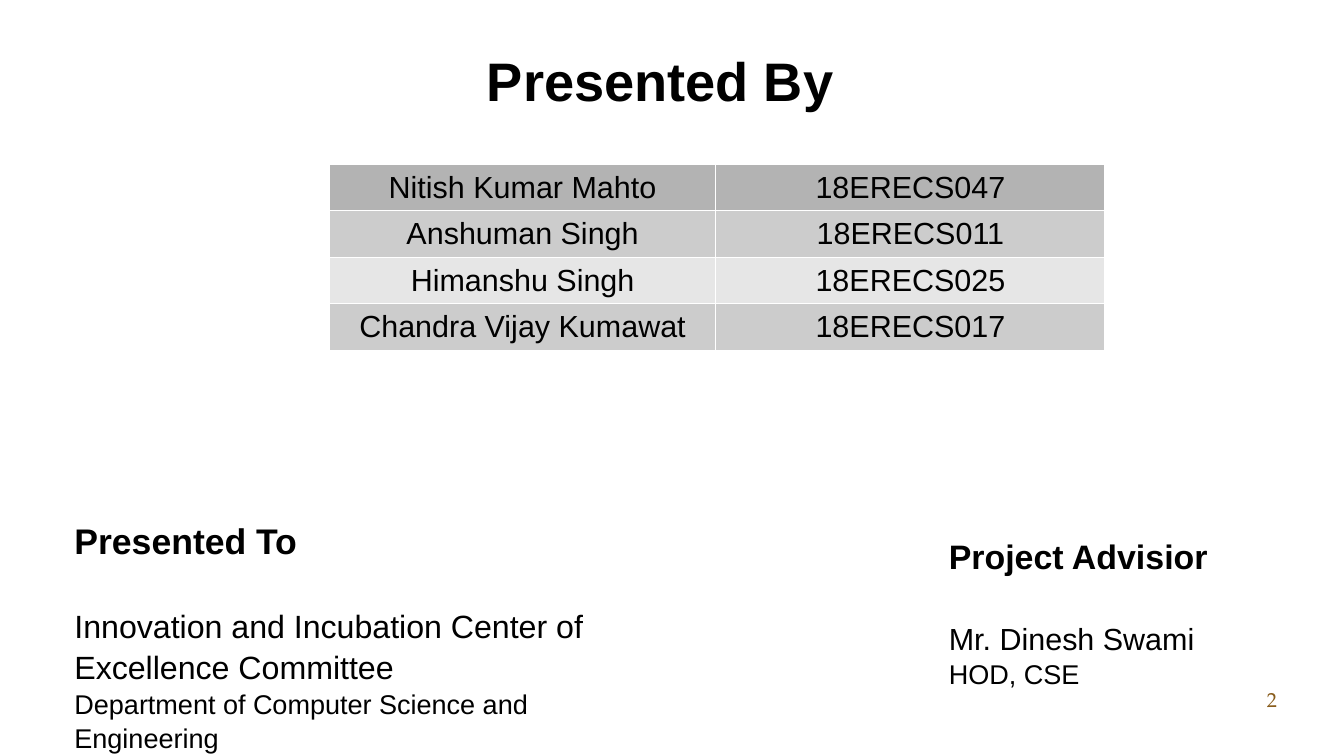
from dataclasses import dataclass

from lxml.etree import SubElement
from pptx import Presentation
from pptx.dml.color import RGBColor
from pptx.enum.text import MSO_ANCHOR, MSO_AUTO_SIZE, PP_ALIGN
from pptx.oxml.ns import qn
from pptx.util import Inches, Pt

SLIDE_WIDTH, SLIDE_HEIGHT = Inches(11.02), Inches(6.2)


@dataclass(frozen=True)
class Theme:
    sans: str = "Arial"
    serif: str = "TeX Gyre Pagella"
    ink: str = "000000"
    gold: str = "895D1D"
    border: str = "FFFFFF"
    row_fills: tuple[str, ...] = ("B3B3B3", "CCCCCC", "E6E6E6", "CCCCCC")
    title: int = 32
    cell: int = 18
    small: int = 16
    page: int = 12
    line_spacing: float = 1.05
    border_width: float = 0.75


THEME = Theme()


@dataclass(frozen=True)
class Area:
    """A box in percent of the slide's width and height."""
    left: float
    top: float
    width: float
    height: float

    def place(self, shape) -> None:
        for name, length in self.lengths().items():
            setattr(shape, name, length)

    def lengths(self) -> dict[str, int]:
        return {
            "left": across(self.left),
            "top": down(self.top),
            "width": across(self.width),
            "height": down(self.height),
        }


@dataclass(frozen=True)
class Line:
    text: str
    size: float
    bold: bool = False
    gap: float = 0
    align: PP_ALIGN = PP_ALIGN.LEFT
    font: str = THEME.sans
    color: str = THEME.ink
    spacing: float = 1.0


@dataclass(frozen=True)
class Contact:
    area: Area
    heading: str
    name: str
    role: str
    heading_size: int
    name_size: int

    def lines(self) -> list[Line]:
        blank_line = round(self.heading_size * 1.15 * THEME.line_spacing, 1)
        spacing = THEME.line_spacing
        return [
            Line(self.heading, self.heading_size, bold=True, spacing=spacing),
            Line(self.name, self.name_size, gap=blank_line, spacing=spacing),
            Line(self.role, THEME.small, spacing=spacing),
        ]


TITLE_AREA = Area(1.81, 5.48, 94.65, 23.23)
PAGE_AREA = Area(72.6, 89.84, 23.32, 5.32)
TEAM_AREA = Area(24.5, 21.77, 57.72, 24.52)
TEAM_COLUMNS = (28.77, 28.95)
TEAM = (
    ("Nitish Kumar Mahto", "18ERECS047"),
    ("Anshuman Singh", "18ERECS011"),
    ("Himanshu Singh", "18ERECS025"),
    ("Chandra Vijay Kumawat", "18ERECS017"),
)
CONTACTS = (
    Contact(Area(4.63, 67.58, 41.11, 31.13), "Presented To",
            "Innovation and Incubation Center of Excellence Committee",
            "Department of Computer Science and Engineering", 21, 19),
    Contact(Area(69.69, 69.84, 23.23, 19.52), "Project Advisior",
            "Mr. Dinesh Swami", "HOD, CSE", 20, 18),
)


def across(percent: float) -> int:
    return round(SLIDE_WIDTH * percent / 100)


def down(percent: float) -> int:
    return round(SLIDE_HEIGHT * percent / 100)


def write_lines(frame, lines: list[Line]) -> None:
    for index, line in enumerate(lines):
        paragraph = frame.paragraphs[0] if index == 0 else frame.add_paragraph()
        layout = {
            "alignment": line.align,
            "line_spacing": line.spacing,
            "space_before": Pt(line.gap),
            "space_after": Pt(0),
        }
        for name, value in layout.items():
            setattr(paragraph, name, value)
        run = paragraph.add_run()
        run.text = line.text
        style = {"name": line.font, "size": Pt(line.size), "bold": line.bold}
        for name, value in style.items():
            setattr(run.font, name, value)
        run.font.color.rgb = RGBColor.from_string(line.color)


def fill_box(shape, area: Area, lines: list[Line],
             anchor: MSO_ANCHOR = MSO_ANCHOR.TOP) -> None:
    area.place(shape)
    frame = shape.text_frame
    settings = {
        "word_wrap": True,
        "auto_size": MSO_AUTO_SIZE.NONE,
        "vertical_anchor": anchor,
    }
    for name, value in settings.items():
        setattr(frame, name, value)
    write_lines(frame, lines)


def remove_bullets(frame) -> None:
    for paragraph in frame.paragraphs:
        properties = paragraph._p.get_or_add_pPr()
        properties.set("marL", "0")
        properties.set("indent", "0")
        SubElement(properties, qn("a:buNone"))


def paint_cell(cell, fill: str) -> None:
    """Give the cell its borders and then its fill."""
    properties = cell._tc.get_or_add_tcPr()
    for side in ("lnL", "lnR", "lnT", "lnB"):
        border = SubElement(properties, qn(f"a:{side}"), w=str(Pt(THEME.border_width)))
        solid = SubElement(border, qn("a:solidFill"))
        SubElement(solid, qn("a:srgbClr"), val=THEME.border)
    cell.fill.solid()
    cell.fill.fore_color.rgb = RGBColor.from_string(fill)


def add_team_table(slide) -> None:
    table = slide.shapes.add_table(
        len(TEAM), len(TEAM_COLUMNS), **TEAM_AREA.lengths()).table
    for column, width in zip(table.columns, TEAM_COLUMNS):
        column.width = across(width)
    for row, member, fill in zip(table.rows, TEAM, THEME.row_fills):
        row.height = down(TEAM_AREA.height / len(TEAM))
        for cell, entry in zip(row.cells, member):
            write_lines(cell.text_frame,
                        [Line(entry, THEME.cell, align=PP_ALIGN.CENTER)])
            paint_cell(cell, fill)


def main() -> None:
    deck = Presentation()
    deck.slide_width, deck.slide_height = SLIDE_WIDTH, SLIDE_HEIGHT
    slide = deck.slides.add_slide(deck.slide_layouts.get_by_name("Two Content"))
    title, *bodies = slide.placeholders

    fill_box(title, TITLE_AREA, [
        Line("Presented By", THEME.title, bold=True, align=PP_ALIGN.CENTER)])
    add_team_table(slide)
    for body, contact in zip(bodies, CONTACTS):
        fill_box(body, contact.area, contact.lines())
        remove_bullets(body.text_frame)
    page_number = slide.shapes.add_textbox(**PAGE_AREA.lengths())
    fill_box(page_number, PAGE_AREA, [
        Line("2", THEME.page, align=PP_ALIGN.RIGHT, font=THEME.serif,
             color=THEME.gold)], MSO_ANCHOR.MIDDLE)
    deck.save("out.pptx")


if __name__ == "__main__":
    main()
